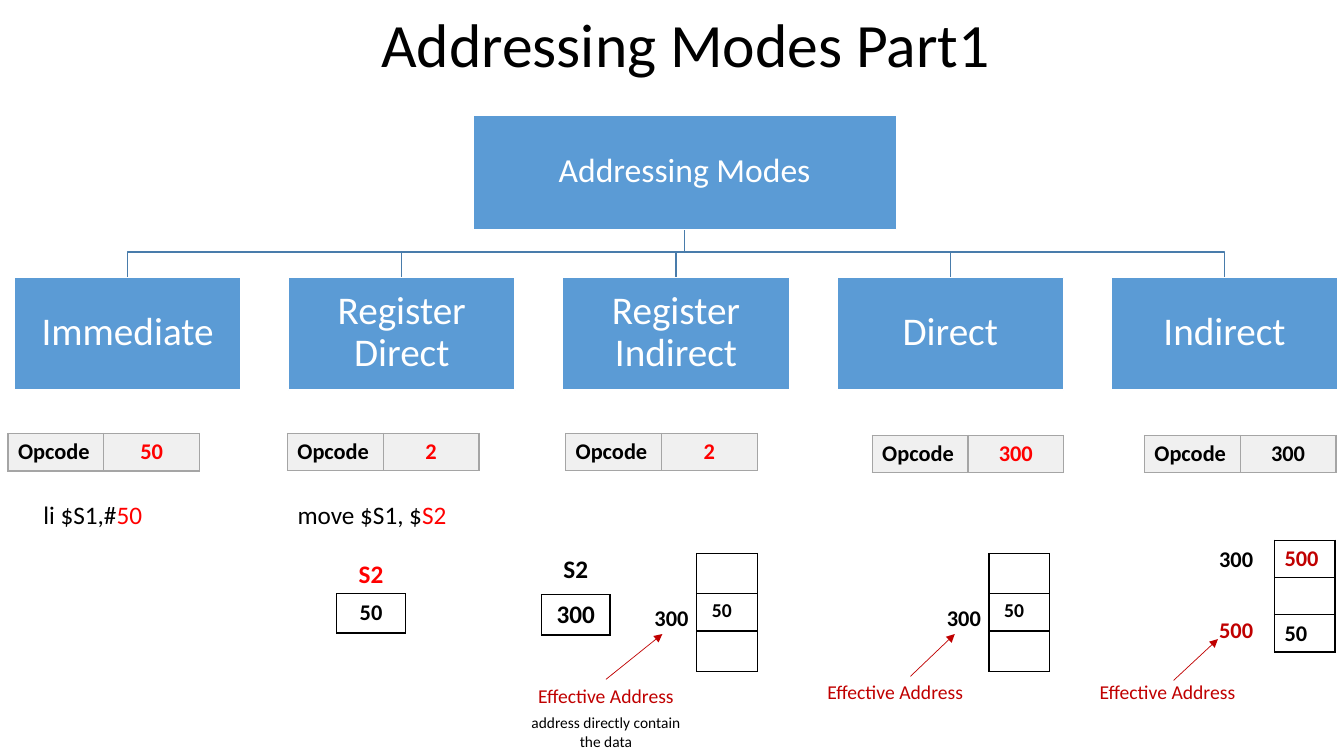
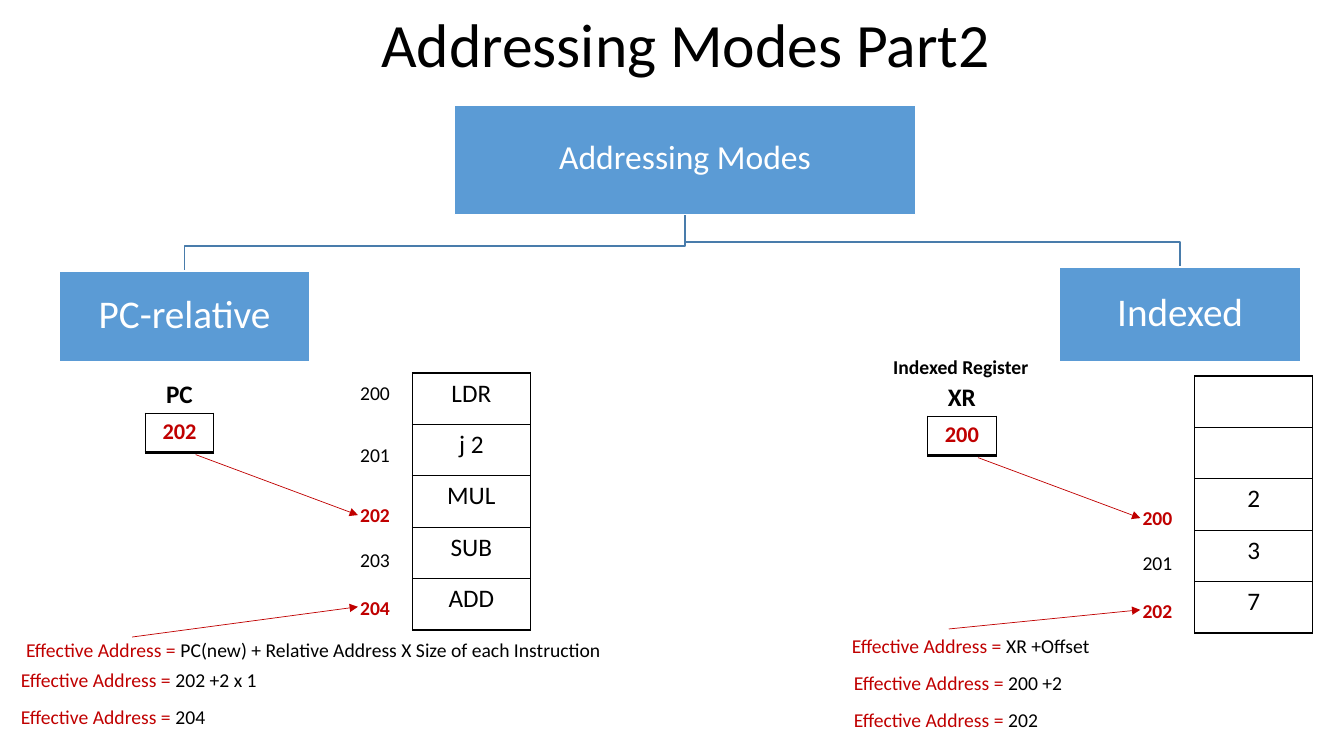
from lxml import etree
from pptx import Presentation
from pptx.dml.color import RGBColor
from pptx.enum.shapes import MSO_CONNECTOR, MSO_SHAPE
from pptx.enum.text import MSO_ANCHOR, MSO_AUTO_SIZE, PP_ALIGN
from pptx.oxml.ns import qn
from pptx.util import Inches, Pt

LEFT, CENTER = PP_ALIGN.LEFT, PP_ALIGN.CENTER
MIDDLE = MSO_ANCHOR.MIDDLE
NO_AUTOFIT = MSO_AUTO_SIZE.NONE
RECTANGLE = MSO_SHAPE.RECTANGLE
STRAIGHT = MSO_CONNECTOR.STRAIGHT

FONT = "Calibri"
COLORS = {
    "black": "000000",
    "white": "FFFFFF",
    "blue": "5B9BD5",
    "branch": "497CAB",
    "red": "FF0000",
    "dark_red": "C00000",
    "grey": "F0F0F0",
    "rule": "A5A5A5",
}
TITLE_FRAME = {"vertical_anchor": MIDDLE, "word_wrap": True, "auto_size": NO_AUTOFIT}
CARD_FRAME = {
    "vertical_anchor": MIDDLE, "word_wrap": True,
    "margin_left": Inches(0.02), "margin_right": Inches(0.02),
    "margin_top": Inches(0.02), "margin_bottom": Inches(0.04),
}
EFFECTIVE = "Effective Address"


def color(name):
    return RGBColor.from_string(COLORS[name])


def apply(target, values):
    for name, value in values.items():
        setattr(target, name, value)


def place(shape, left, top, width, height):
    apply(shape, {"left": Inches(left), "top": Inches(top),
                  "width": Inches(width), "height": Inches(height)})


def write(frame, runs, size, bold=False, align=CENTER, spacing=1.0):
    paragraph = frame.paragraphs[0]
    apply(paragraph, {"alignment": align, "line_spacing": spacing})
    for text, color_name in runs:
        run = paragraph.add_run()
        run.text = text
        apply(run.font, {"name": FONT, "size": Pt(size), "bold": bold})
        run.font.color.rgb = color(color_name)


def add_label(slide, left, top, width, runs, size, bold=False, align=CENTER, height=0.37):
    box = slide.shapes.add_textbox(Inches(left), Inches(top), Inches(width), Inches(height))
    box.text_frame.word_wrap = True
    write(box.text_frame, runs, size, bold, align)


def add_centered_label(slide, center, top, text, color_name, size, bold=False, width=1.84):
    add_label(slide, center - width / 2, top, width, [(text, color_name)], size, bold)


def add_arrow(slide, start, end):
    points = [Inches(value) for value in (*start, *end)]
    arrow = slide.shapes.add_connector(STRAIGHT, *points)
    arrow.line.color.rgb = color("dark_red")
    arrow.line.width = Pt(0.5)
    etree.SubElement(arrow.line._get_or_add_ln(), qn("a:tailEnd"), type="triangle")
    etree.SubElement(arrow._element.spPr, qn("a:effectLst"))


def add_borders(cell, color_name, bottom_width=1):
    properties = cell._tc.get_or_add_tcPr()
    widths = {"lnL": 1, "lnR": 1, "lnT": 1, "lnB": bottom_width}
    for index, (side, width) in enumerate(widths.items()):
        line = etree.Element(qn(f"a:{side}"), w=str(Pt(width)))
        fill = etree.SubElement(line, qn("a:solidFill"))
        etree.SubElement(fill, qn("a:srgbClr"), val=COLORS[color_name])
        properties.insert(index, line)


def add_grid(slide, left, top, column_width, row_heights, rows, align=CENTER, bold=True,
             fill=None, border="black", bottom_width=1):
    frame = slide.shapes.add_table(
        len(rows), len(rows[0]), Inches(left), Inches(top),
        Inches(column_width * len(rows[0])), Inches(sum(row_heights)))
    table = frame.table
    apply(table, {"first_row": False, "horz_banding": False})
    for column in table.columns:
        column.width = Inches(column_width)
    for row, height, contents in zip(table.rows, row_heights, rows):
        row.height = Inches(height)
        for cell, content in zip(row.cells, contents):
            apply(cell, {"margin_top": Inches(0.05), "margin_bottom": Inches(0.05)})
            if content:
                text, color_name, size = content
                write(cell.text_frame, [(text, color_name)], size, bold, align)
            else:
                apply(cell, {"margin_top": 0, "margin_bottom": 0})
            if fill:
                cell.fill.solid()
                cell.fill.fore_color.rgb = color(fill)
            else:
                cell.fill.background()
            add_borders(cell, border, bottom_width)
    return table


def add_card(slide, box, text, size):
    card = slide.shapes.add_shape(RECTANGLE, *[Inches(value) for value in box])
    card.shadow.inherit = False
    card.fill.solid()
    card.fill.fore_color.rgb = color("blue")
    card.line.color.rgb = color("white")
    card.line.width = Pt(1)
    apply(card.text_frame, CARD_FRAME)
    write(card.text_frame, [(text, "white")], size, spacing=0.9)


def add_branch(slide, start, end):
    bend = end[1] - 0.25
    points = [start, (start[0], bend), (end[0], bend), end]
    points = [(Inches(x), Inches(y)) for x, y in points]
    builder = slide.shapes.build_freeform(*points[0], scale=1.0)
    builder.add_line_segments(points[1:], close=False)
    branch = builder.convert_to_shape()
    branch.shadow.inherit = False
    branch.fill.background()
    branch.line.color.rgb = color("branch")
    branch.line.width = Pt(1)


def add_tree(slide, root, children):
    left, top, width, height = root
    for box, _ in children:
        add_branch(slide, (left + width / 2, top + height), (box[0] + box[2] / 2, box[1]))
    add_card(slide, root, "Addressing Modes", 24)
    for box, text in children:
        add_card(slide, box, text, 28)


def add_titled_slide(presentation, text):
    slide = presentation.slides.add_slide(presentation.slide_layouts[5])
    title = slide.shapes.title
    place(title, 3.68, 0.03, 8.75, 0.89)
    apply(title.text_frame, TITLE_FRAME)
    write(title.text_frame, [(text, "black")], 44, align=LEFT, spacing=0.9)
    return slide


def add_instruction(slide, left, top, operand, color_name="red"):
    cells = [("Opcode", "black", 16), (operand, color_name, 16)]
    table = add_grid(slide, left, top, 0.95, [0.37], [cells], fill="grey", border="rule")
    table.cell(0, 0).text_frame.paragraphs[0].alignment = LEFT


def add_register(slide, left, top, name, value, name_color="black", value_color="black",
                 size=16, name_gap=0.4):
    add_centered_label(slide, left + 0.34, top - name_gap, name, name_color, 18, True)
    add_grid(slide, left, top, 0.68, [0.39], [[(value, value_color, size)]], bottom_width=2)


def add_effective_address(slide, center, top, start, end):
    add_arrow(slide, start, end)
    add_centered_label(slide, center, top, EFFECTIVE, "dark_red", 14)


def add_direct_memory(slide, left, top):
    rows = [[None], [("50", "black", 14)], [None]]
    table = add_grid(slide, left, top, 0.6, [0.4, 0.37, 0.4], rows, align=LEFT)
    table.cell(1, 0).margin_left = Inches(0.15)
    add_centered_label(slide, left - 0.25, top + 0.45, "300", "black", 16, True)


def add_immediate(slide, left, top):
    add_instruction(slide, left - 0.06, top, "50")
    add_label(slide, left - 0.14, top + 0.6, 1.84, [("li $S1,#", "black"), ("50", "red")], 18)


def add_register_direct(slide, left, top):
    add_instruction(slide, left - 0.01, top, "2")
    add_label(slide, left - 0.09, top + 0.6, 1.84,
              [("move $S1, $", "black"), ("S2", "red")], 18)
    add_register(slide, left + 0.48, top + 1.59, "S2", "50", name_color="red")


def add_register_indirect(slide, left, top):
    add_instruction(slide, left + 0.03, top, "2")
    add_register(slide, left - 0.21, top + 1.6, "S2", "300", size=18, name_gap=0.46)
    add_direct_memory(slide, left + 1.33, top + 1.19)
    center = left + 0.43
    add_effective_address(slide, center, top + 2.44,
                          (center, top + 2.44), (left + 0.99, top + 1.99))
    add_label(slide, center - 0.92, top + 2.73, 1.84,
              [("address directly contain the data", "black")], 11, height=0.47)


def add_direct(slide, left, top):
    add_instruction(slide, left + 0.35, top + 0.02, "300")
    add_direct_memory(slide, left + 1.51, top + 1.19)
    add_effective_address(slide, left + 0.58, top + 2.4,
                          (left + 0.73, top + 2.41), (left + 1.17, top + 1.99))


def add_indirect(slide, left, top):
    add_instruction(slide, left + 0.33, top + 0.02, "300", "black")
    rows = [[("500", "dark_red", 16)], [None], [("50", "black", 16)]]
    add_grid(slide, left + 1.62, top + 1.06, 0.6, [0.37] * 3, rows, align=LEFT)
    for offset, text, color_name in ((1.06, "300", "black"), (1.76, "500", "dark_red")):
        add_centered_label(slide, left + 1.24, top + offset, text, color_name, 16, True, 0.62)
    add_effective_address(slide, left + 0.56, top + 2.4,
                          (left + 0.62, top + 2.45), (left + 1.06, top + 2.04))


def add_memory_panel(slide, left, top, register, value, cells, addresses, equations,
                     arrow_start):
    rows = [[(text, "black", 18) if text else None] for text in cells]
    add_grid(slide, left + 4.09, top, 1.17, [0.51] * 5, rows, bold=False)
    add_register(slide, left + 1.44, top + 0.4, register, value, value_color="dark_red")
    for text, offset in zip(addresses, (0.03, 0.64, 1.24, 1.69, 2.16)):
        if text:
            marked = offset in (1.24, 2.16)
            add_centered_label(slide, left + 3.72, top + offset, text,
                               "dark_red" if marked else "black", 14, marked, 0.73)
    add_arrow(slide, (left + 1.94, top + 0.81), (left + 3.55, top + 1.41))
    add_arrow(slide, (left + arrow_start[0], top + arrow_start[1]), (left + 3.55, top + 2.32))
    for indent, offset, text in equations:
        add_label(slide, left + indent, top + offset, 6.3,
                  [(f"{EFFECTIVE} = ", "dark_red"), (text, "black")], 14, align=LEFT)


def build_part_one(presentation):
    slide = add_titled_slide(presentation, "Addressing Modes Part1")
    modes = {
        "Immediate": add_immediate,
        "Register Direct": add_register_direct,
        "Register Indirect": add_register_indirect,
        "Direct": add_direct,
        "Indirect": add_indirect,
    }
    lefts = [0.14 + 2.72 * index for index in range(len(modes))]
    add_tree(slide, (4.69, 1.14, 4.2, 1.14),
             [((left, 2.75, 2.25, 1.12), name) for left, name in zip(lefts, modes)])
    for left, add_details in zip(lefts, modes.values()):
        add_details(slide, left, 4.3)


def build_part_two(presentation):
    slide = add_titled_slide(presentation, "Addressing Modes Part2")
    add_tree(slide, (4.51, 1.04, 4.57, 1.09),
             [((0.59, 2.69, 2.48, 0.9), "PC-relative"), ((10.51, 2.65, 2.39, 0.94), "Indexed")])
    add_memory_panel(
        slide, 0, 3.7, "PC", "202", ["LDR", "j 2", "MUL", "SUB", "ADD"],
        ["200", "201", "202", "203", "204"],
        [(0.16, 2.58, "PC(new) + Relative Address X Size of each Instruction"),
         (0.11, 2.88, "202 +2 x 1"), (0.11, 3.24, "204")], (1.31, 2.62))
    add_memory_panel(
        slide, 7.76, 3.73, "XR", "200", [None, None, "2", "3", "7"],
        [None, None, "200", "201", "202"],
        [(0.59, 2.51, "XR +Offset"), (0.61, 2.88, "200 +2"), (0.61, 3.24, "202")],
        (1.65, 2.51))
    add_centered_label(slide, 9.53, 3.47, "Indexed Register", "black", 14, True)


def main():
    presentation = Presentation()
    apply(presentation, {"slide_width": Inches(13.33), "slide_height": Inches(7.5)})
    build_part_one(presentation)
    build_part_two(presentation)
    presentation.save("out.pptx")


if __name__ == "__main__":
    main()
